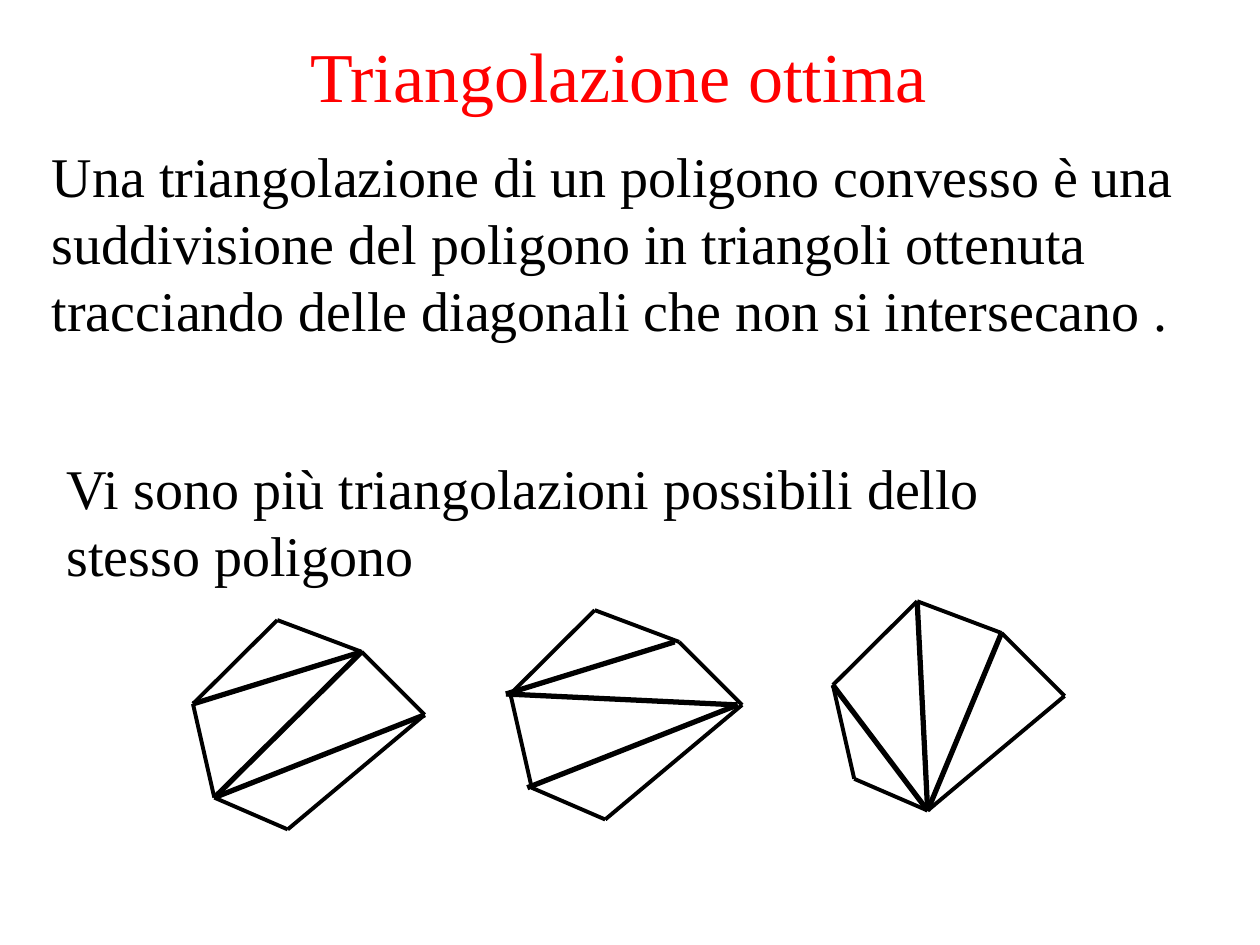
from lxml.etree import SubElement
from pptx import Presentation
from pptx.dml.color import RGBColor
from pptx.enum.shapes import MSO_CONNECTOR
from pptx.enum.text import MSO_ANCHOR, MSO_AUTO_SIZE, PP_ALIGN
from pptx.oxml.ns import qn
from pptx.util import Cm, Pt

HUES = {"title": "FF0000", "text": "000000", "line": "000000"}
FONT = "Times New Roman"

# Hexagon corners in cm, clockwise from the top
NODES = [(1.7, 0), (3.4, 0.64), (4.67, 1.91),
         (1.91, 4.22), (0.43, 3.58), (0, 1.69)]
SIDES = [(i, (i + 1) % len(NODES)) for i in range(len(NODES))]

# Left, top, shift of the diagonals, and the corners they join
HEXES = [
    (3.89, 12.5, 0, [(1, 4), (2, 4), (1, 5)]),
    (10.29, 12.3, -0.09, [(2, 5), (1, 5), (2, 4)]),
    (16.79, 12.12, 0, [(0, 3), (1, 3), (5, 3)]),
]


def add_text(holder, box, text, size, hue, align=PP_ALIGN.LEFT):
    holder.left, holder.top, holder.width, holder.height = map(Cm, box)
    frame = holder.text_frame
    frame.word_wrap = True
    frame.auto_size = MSO_AUTO_SIZE.NONE
    frame.vertical_anchor = MSO_ANCHOR.TOP
    para = frame.paragraphs[0]
    para.alignment = align
    para.space_before = Pt(0)
    # No bullet, no hanging indent
    props = para._p.get_or_add_pPr()
    props.set("marL", "0")
    props.set("indent", "0")
    SubElement(props, qn("a:buNone"))
    run = para.add_run()
    run.text = text
    run.font.name = FONT
    run.font.size = Pt(size)
    run.font.color.rgb = RGBColor.from_string(HUES[hue])


def add_line(slide, start, end, left, top, width):
    (x1, y1), (x2, y2) = start, end
    line = slide.shapes.add_connector(
        MSO_CONNECTOR.STRAIGHT,
        Cm(left + x1), Cm(top + y1), Cm(left + x2), Cm(top + y2))
    line.line.color.rgb = RGBColor.from_string(HUES["line"])
    line.line.width = Pt(width)
    SubElement(line._element.spPr, qn("a:effectLst"))


def add_hex(slide, left, top, shift, cuts):
    for a, b in SIDES:
        add_line(slide, NODES[a], NODES[b], left, top, 2.25)
    for a, b in cuts:
        add_line(slide, NODES[a], NODES[b], left + shift, top, 3)


def main():
    deck = Presentation()
    deck.slide_width, deck.slide_height = Cm(25.4), Cm(19.05)
    slide = deck.slides.add_slide(deck.slide_layouts[3])
    title, intro, note = slide.placeholders

    # Title and the two statements
    add_text(title, (2.59, 0.53, 20.12, 1.96), "Triangolazione ottima ",
             40, "title", PP_ALIGN.CENTER)
    add_text(intro, (0.79, 2.72, 23.8, 4.37),
             "Una triangolazione di un poligono convesso è una suddivisione "
             "del poligono in triangoli ottenuta tracciando delle diagonali "
             "che non si intersecano .", 32, "text")
    add_text(note, (1.09, 9.02, 21.79, 3),
             "Vi sono più triangolazioni possibili dello stesso poligono",
             32, "text")

    # Three triangulations of one hexagon
    for spot in HEXES:
        add_hex(slide, *spot)

    deck.save("out.pptx")


if __name__ == "__main__":
    main()
